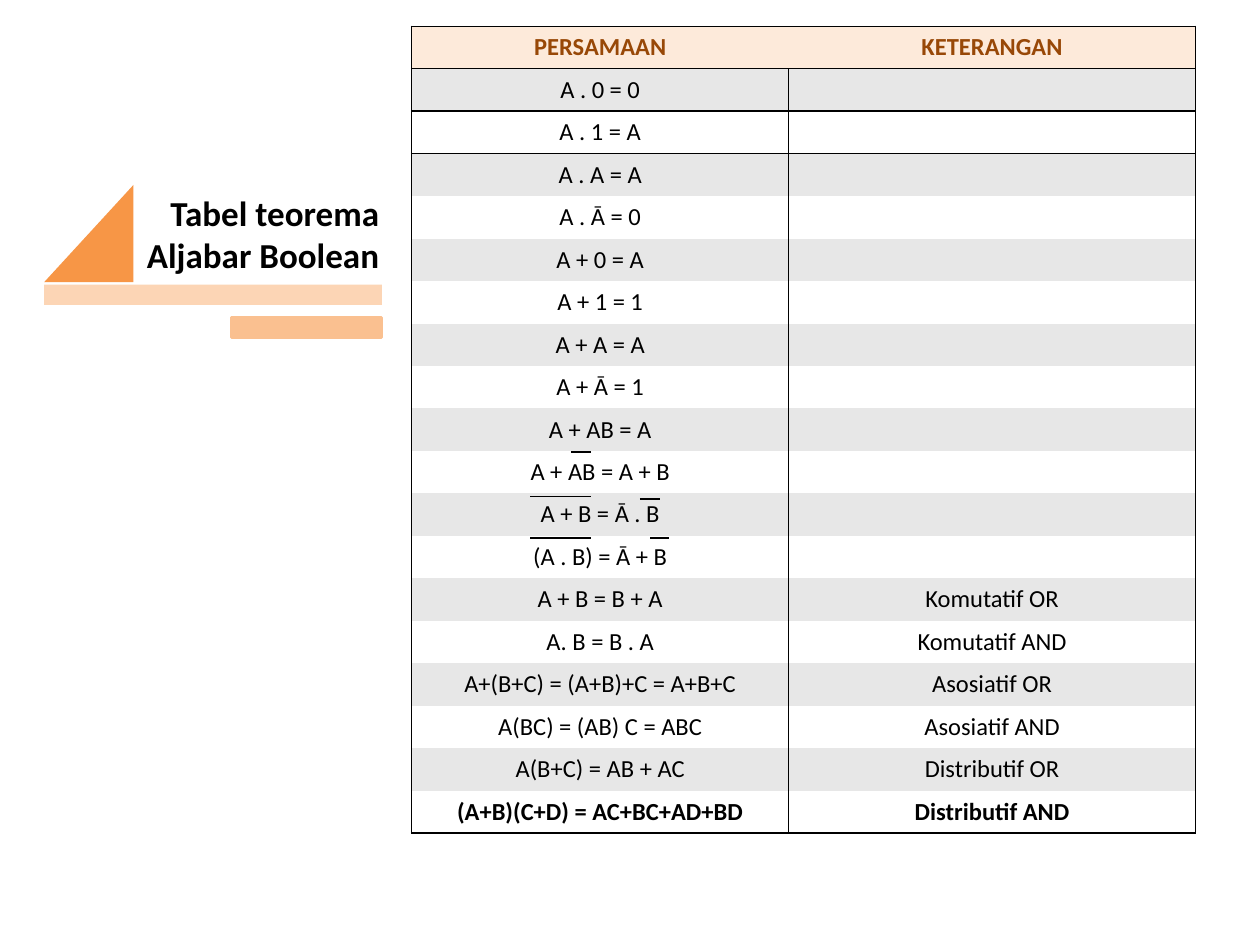
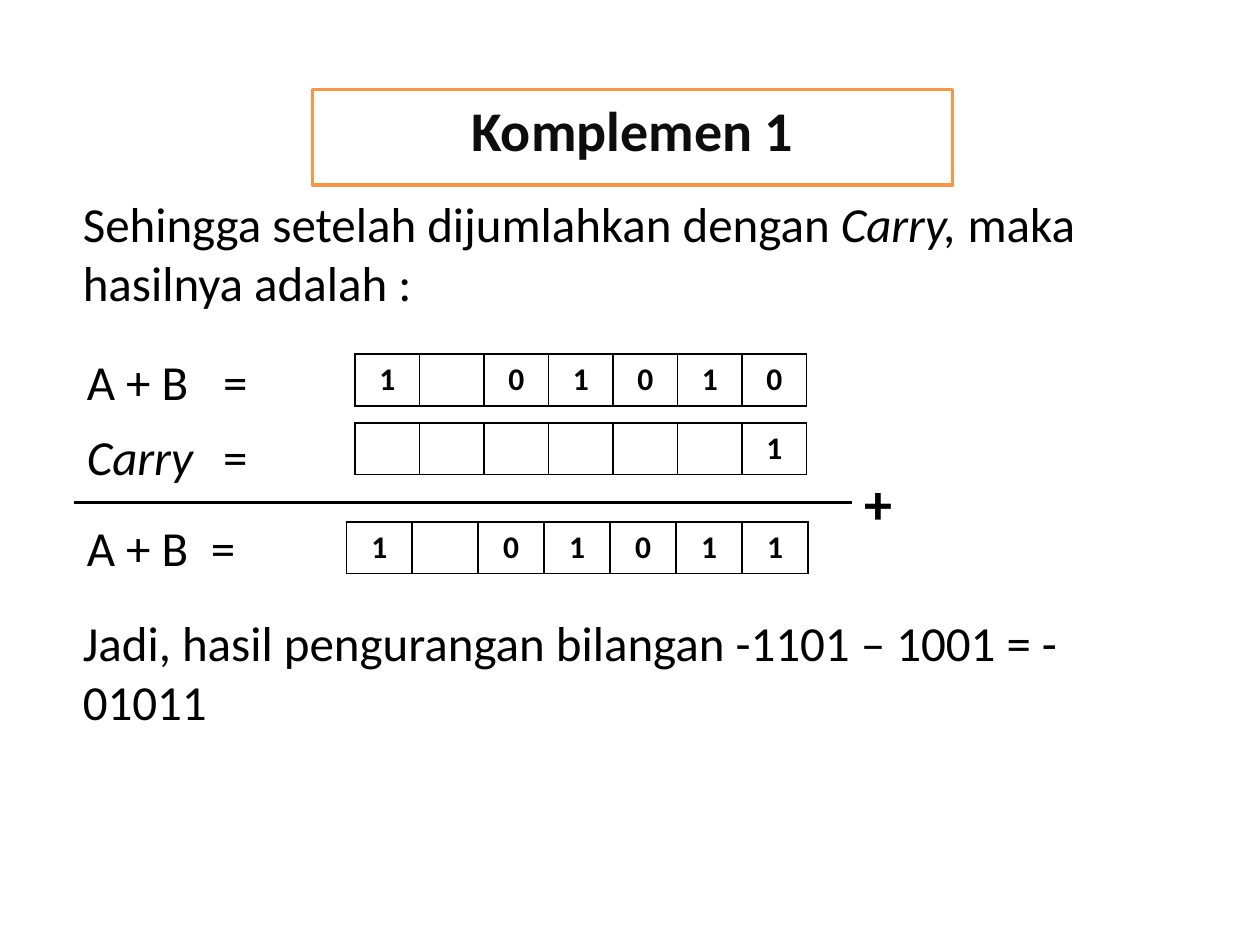
from lxml import etree
from pptx import Presentation
from pptx.dml.color import RGBColor
from pptx.enum.shapes import MSO_CONNECTOR as Link, MSO_SHAPE as Shape
from pptx.enum.text import MSO_ANCHOR as Anchor, MSO_AUTO_SIZE as AutoSize, PP_ALIGN as Align
from pptx.oxml.ns import qn
from pptx.util import Cm, Pt

FONT = "Calibri"
BLACK, WHITE, GREY = "000000", "FFFFFF", "E7E7E7"
ORANGE, PEACH, PALE_PEACH, CREAM = "F79646", "FAC090", "FCD5B5", "FDEADA"
BROWN, NEAR_BLACK = "984807", "0D0D0D"
PLAIN_TABLE = "{2D5ABB26-0587-4C30-8999-92F81FD0307C}"


def color(code):
    return RGBColor.from_string(code)


def place(*lengths):
    return [Cm(length) for length in lengths]


class DeckBuilder:
    def __init__(self):
        self.deck = Presentation()
        self.deck.slide_width, self.deck.slide_height = place(25.4, 19.05)
        self.page = None

    def new_page(self):
        self.page = self.deck.slides.add_slide(self.deck.slide_layouts[5])

    def fill_para(self, para, text, size, shade=BLACK, align=None, **style):
        """Add spans split at '*'; every second one is italic."""
        para.alignment = align
        for index, part in enumerate(text.split("*")):
            if not part:
                continue
            span = para.add_run()
            span.text = part
            values = dict(name=FONT, size=Pt(size), bold=False, italic=index % 2 == 1)
            for name, value in {**values, **style}.items():
                setattr(span.font, name, value)
            span.font.color.rgb = color(shade)
        etree.SubElement(para._p, qn("a:endParaRPr"), sz=str(size * 100))

    def frame(self, box):
        values = dict(word_wrap=True, auto_size=AutoSize.NONE, vertical_anchor=Anchor.TOP)
        for name, value in values.items():
            setattr(box.text_frame, name, value)
        return box.text_frame

    def title(self, text, area, size, **style):
        box = self.page.shapes.title
        box.left, box.top, box.width, box.height = place(*area)
        self.fill_para(self.frame(box).paragraphs[0], text, size, bold=True, **style)
        return box

    def text(self, text, area, size=28, **style):
        box = self.page.shapes.add_textbox(*place(*area))
        self.fill_para(self.frame(box).paragraphs[0], text, size, **style)

    def labels(self, rows, area, size=28):
        """Add one paragraph for each (text, tab stop, space before)."""
        frame = self.frame(self.page.shapes.add_textbox(*place(*area)))
        for index, (text, stop, gap) in enumerate(rows):
            para = frame.add_paragraph() if index else frame.paragraphs[0]
            if gap:
                para.space_before = Pt(gap)
            tabs = etree.SubElement(para._p.get_or_add_pPr(), qn("a:tabLst"))
            etree.SubElement(tabs, qn("a:tab"), pos=str(Cm(stop)), algn="l")
            self.fill_para(para, text, size)

    def shape(self, kind, area, fill, line=None):
        shape = self.page.shapes.add_shape(kind, *place(*area))
        shape.shadow.inherit = False
        shape.fill.solid()
        shape.fill.fore_color.rgb = color(fill)
        if line:
            self.outline(shape, line)
        else:
            shape.line.fill.background()
        return shape

    def outline(self, shape, shade, width=2):
        shape.line.color.rgb = color(shade)
        shape.line.width = Pt(width)

    def rule(self, left, right, top, width=1):
        line = self.page.shapes.add_connector(Link.STRAIGHT, *place(left, top, right, top))
        self.outline(line, BLACK, width)
        etree.SubElement(line._element.spPr, qn("a:effectLst"))

    def table(self, left, top, widths, row_height, row_count):
        size = place(left, top, sum(widths), row_height * row_count)
        table = self.page.shapes.add_table(row_count, len(widths), *size).table
        table._tbl.tblPr.find(qn("a:tableStyleId")).text = PLAIN_TABLE
        for column, width in zip(table.columns, widths):
            column.width = Cm(width)
        for row in table.rows:
            row.height = Cm(row_height)
        return table

    def cell(self, cell, text, size, fill, sides, **style):
        for side in "LRTB":
            if side in sides:
                edge = etree.SubElement(cell._tc.get_or_add_tcPr(), qn("a:ln" + side), w=str(Pt(1)))
                paint = etree.SubElement(edge, qn("a:solidFill"))
                etree.SubElement(paint, qn("a:srgbClr"), val=BLACK)
        cell.fill.solid()
        cell.fill.fore_color.rgb = color(fill)
        self.fill_para(cell.text_frame.paragraphs[0], text, size, align=Align.CENTER, **style)

    def bits(self, digits, left, top, width):
        """Draw one row of bit cells; a dash leaves a cell empty."""
        table = self.table(left, top, [width] * len(digits), 1.04, 1)
        for index, digit in enumerate(digits):
            self.cell(table.cell(0, index), digit.strip("-"), 18, WHITE, "LRTB", bold=True)


THEOREMS = [
    ("PERSAMAAN", "KETERANGAN"),
    ("A . 0 = 0", ""),
    ("A . 1 = A", ""),
    ("A . A = A", ""),
    ("A . Ᾱ = 0", ""),
    ("A + 0 = A", ""),
    ("A + 1 = 1", ""),
    ("A + A = A", ""),
    ("A + Ᾱ = 1", ""),
    ("A + AB = A", ""),
    ("A + AB = A + B", ""),
    ("A + B = Ᾱ . B", ""),
    ("(A . B) = Ᾱ + B", ""),
    ("A + B = B + A", "Komutatif OR"),
    ("A. B = B . A", "Komutatif AND"),
    ("A+(B+C) = (A+B)+C = A+B+C", "Asosiatif OR"),
    ("A(BC) = (AB) C = ABC", "Asosiatif AND"),
    ("A(B+C) = AB + AC", "Distributif OR"),
    ("(A+B)(C+D) = AC+BC+AD+BD", "Distributif AND"),
]


def theorem_page(build):
    build.new_page()
    build.title("Tabel teorema Aljabar Boolean", (1.09, 3.73, 6.81, 1.96), 20, align=Align.RIGHT)

    # Theorem table: framed header, banded body, line under the first theorem
    last = len(THEOREMS) - 1
    table = build.table(8.3, 0.53, [7.6, 8.2], 0.85, len(THEOREMS))
    for row, pair in enumerate(THEOREMS):
        for column, text in enumerate(pair):
            if row == 0:
                fill, shade, sides = CREAM, BROWN, "LTB" if column == 0 else "RTB"
            else:
                fill, shade, sides = GREY if row % 2 else WHITE, BLACK, "LR"
                sides += {1: "TB", 2: "T", last: "B"}.get(row, "")
            build.cell(table.cell(row, column), text, 14, fill, sides,
                       shade=shade, bold=row in (0, last))

    # Negation bars over the terms
    for left, right, top in [(11.51, 11.91, 9.12), (13.11, 13.49, 10.85), (10.69, 11.91, 10.85),
                             (10.69, 11.91, 10.01), (12.9, 13.31, 10.06)]:
        build.rule(left, right, top)

    # Title ornament
    build.shape(Shape.RECTANGLE, (0.89, 5.74, 6.81, 0.41), PALE_PEACH)
    build.shape(Shape.RECTANGLE, (4.67, 6.4, 3.02, 0.41), PEACH, PEACH)
    triangle = build.shape(Shape.ISOSCELES_TRIANGLE, (0.89, 3.73, 1.8, 1.96), ORANGE)
    triangle.adjustments[0] = 1


def complement_page(build):
    build.new_page()
    heading = build.title("Komplemen 1", (6.3, 1.8, 12.9, 1.93), 32,
                          shade=NEAR_BLACK, align=Align.CENTER)
    heading.fill.solid()
    heading.fill.fore_color.rgb = color(WHITE)
    build.outline(heading, ORANGE)

    build.text("Sehingga setelah dijumlahkan dengan *Carry, *maka hasilnya adalah :",
               (1.42, 3.78, 20.85, 2.64))

    # Addition with carry
    build.labels([("A + B\t=", 2.75, 0), ("*Carry*\t=", 2.75, 9.5), ("A + B\t=", 2.5, 18)],
                 (1.5, 6.96, 5.5, 5.5))
    build.bits("1-01010", 7.16, 7.14, 1.3)
    build.bits("------1", 7.16, 8.53, 1.3)
    build.bits("1-01011", 6.98, 10.52, 1.33)
    build.rule(1.5, 17.17, 10.13, 2.25)
    build.text("+", (17.17, 9.32, 1.4, 1.63), 32, bold=True)

    build.text("Jadi, hasil pengurangan bilangan -1101 – 1001 = - 01011",
               (1.42, 12.22, 21.26, 2.64))


def main():
    build = DeckBuilder()
    theorem_page(build)
    complement_page(build)
    build.deck.save("out.pptx")


if __name__ == "__main__":
    main()
